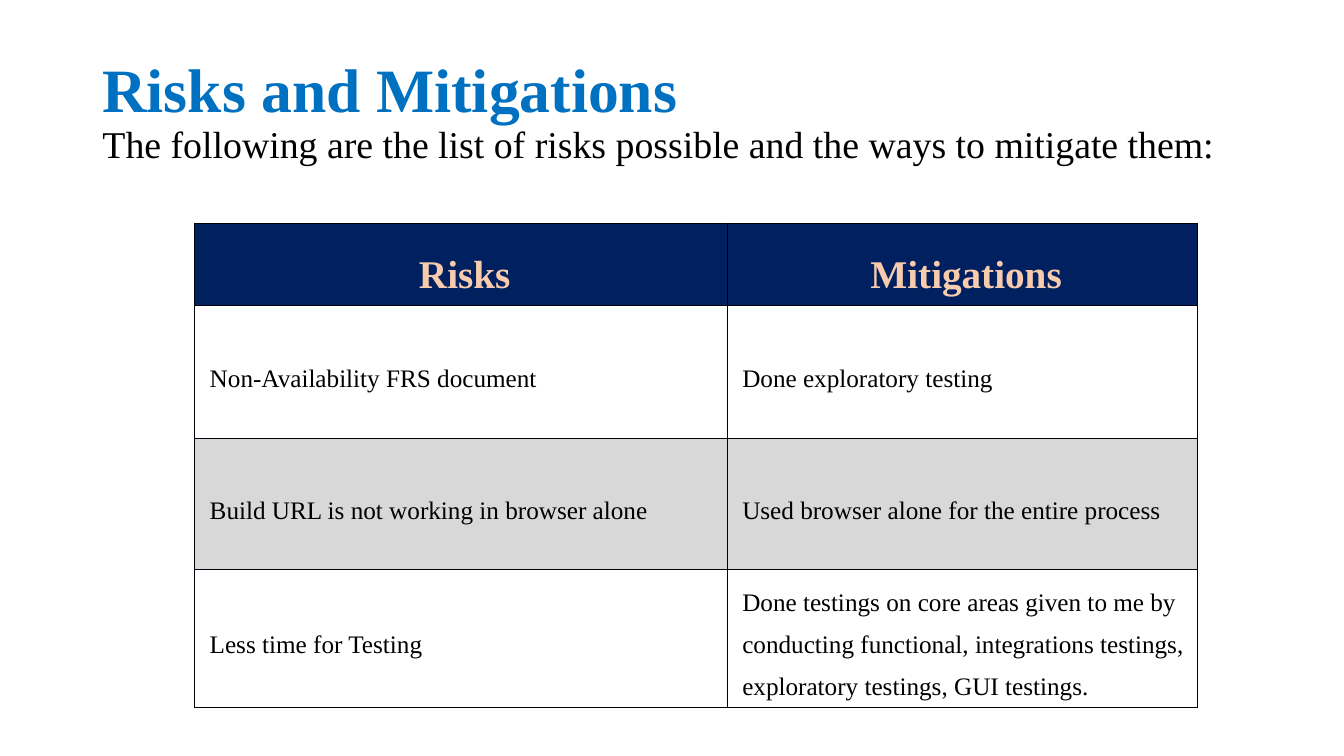
from lxml.etree import SubElement
from pptx import Presentation
from pptx.dml.color import RGBColor
from pptx.enum.text import MSO_ANCHOR as Anchor, MSO_AUTO_SIZE as AutoSize, PP_ALIGN as Align
from pptx.oxml.ns import qn
from pptx.util import Pt

FONT = "Times New Roman"
COLORS = {
    "title": "0070C0",
    "text": "000000",
    "header": "002060",
    "header_text": "F8CBAD",
    "band": "D8D8D8",
    "border": "000008",
}
TITLE_BOX = (66, 28.75, 828, 104.4)
TABLE_BOX = (139, 159.6, 716.4, 345.6)
COLUMN_WIDTHS = (380.4, 336)
ROW_HEIGHTS = (58.5, 95, 93.5, 98.6)
INSET = 5.4
ROWS = (
    ("Risks", "Mitigations"),
    ("Non-Availability FRS document", "Done exploratory testing"),
    ("Build URL is not working in browser alone", "Used browser alone for the entire process"),
    (
        "Less time for Testing",
        "Done testings on core areas given to me by conducting functional, "
        "integrations testings, exploratory testings, GUI testings.",
    ),
)


def add_run(paragraph, text, size, color, bold=False):
    """Append one formatted run to the paragraph."""
    run = paragraph.add_run()
    run.text = text
    run.font.name = FONT
    run.font.size = Pt(size)
    run.font.bold = bold
    run.font.color.rgb = RGBColor.from_string(COLORS[color])


def add_title(slide, box):
    """Place the heading and its introduction in the title placeholder."""
    title = slide.shapes.title
    title.left, title.top, title.width, title.height = map(Pt, box)
    frame = title.text_frame
    frame.word_wrap = True
    frame.auto_size = AutoSize.NONE
    frame.vertical_anchor = Anchor.MIDDLE
    paragraph = frame.paragraphs[0]
    paragraph.alignment = Align.LEFT
    paragraph.line_spacing = 0.9
    add_run(paragraph, "Risks and Mitigations", 44, "title", bold=True)
    paragraph.add_line_break()
    add_run(
        paragraph,
        "The following are the list of risks possible and the ways to mitigate them:",
        27,
        "text",
    )


def add_borders(cell, first_column):
    """Draw the four cell borders, thinner on the table's left edge."""
    properties = cell._tc.get_or_add_tcPr()
    for side in "LRTB":
        width = 0.5 if side == "L" and first_column else 1
        line = SubElement(properties, qn(f"a:ln{side}"), w=str(Pt(width)))
        fill = SubElement(line, qn("a:solidFill"))
        SubElement(fill, qn("a:srgbClr"), val=COLORS["border"])


def fill_cell(cell, text, row, column):
    """Format one table cell by its row and write its text."""
    header = row == 0
    add_borders(cell, column == 0)
    if header or row == 2:
        cell.fill.solid()
        cell.fill.fore_color.rgb = RGBColor.from_string(COLORS["header" if header else "band"])
    else:
        cell.fill.background()
    cell.vertical_anchor = Anchor.MIDDLE
    cell.margin_left = cell.margin_right = Pt(INSET)
    cell.margin_top = cell.margin_bottom = 0
    paragraph = cell.text_frame.paragraphs[0]
    paragraph.alignment = Align.CENTER if header else Align.LEFT
    paragraph.line_spacing = 1.5
    paragraph._p.get_or_add_pPr().set("marL", str(Pt(INSET)))
    if header:
        add_run(paragraph, text, 28, "header_text", bold=True)
    else:
        add_run(paragraph, text, 18, "text")


def add_risk_table(slide, box):
    """Build the table of risks and mitigations in the given box."""
    table = slide.shapes.add_table(len(ROWS), len(COLUMN_WIDTHS), *map(Pt, box)).table
    for column, width in zip(table.columns, COLUMN_WIDTHS):
        column.width = Pt(width)
    for row, height in zip(table.rows, ROW_HEIGHTS):
        row.height = Pt(height)
    for row, texts in enumerate(ROWS):
        for column, text in enumerate(texts):
            fill_cell(table.cell(row, column), text, row, column)


def main():
    """Create and save the presentation."""
    presentation = Presentation()
    presentation.slide_width = Pt(960)
    presentation.slide_height = Pt(540)
    slide = presentation.slides.add_slide(presentation.slide_layouts[5])
    add_title(slide, TITLE_BOX)
    add_risk_table(slide, TABLE_BOX)
    presentation.save("out.pptx")


if __name__ == "__main__":
    main()
